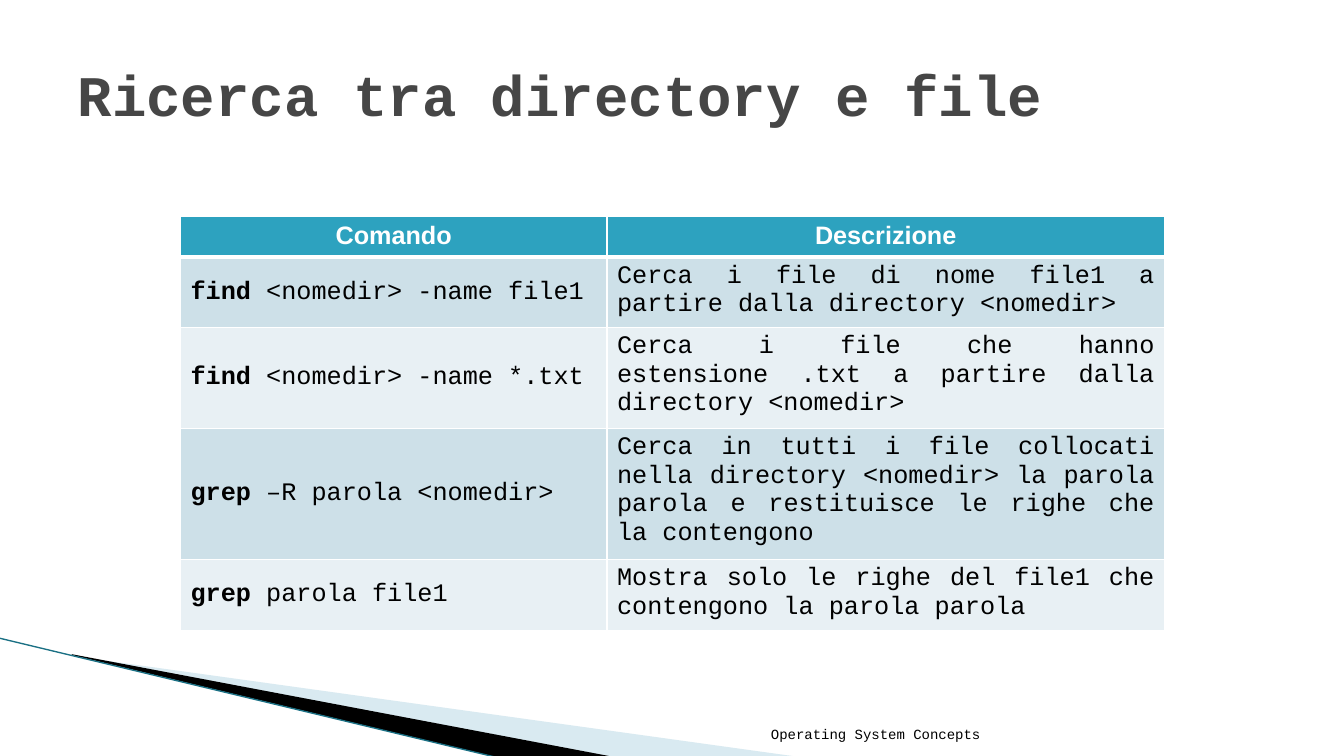
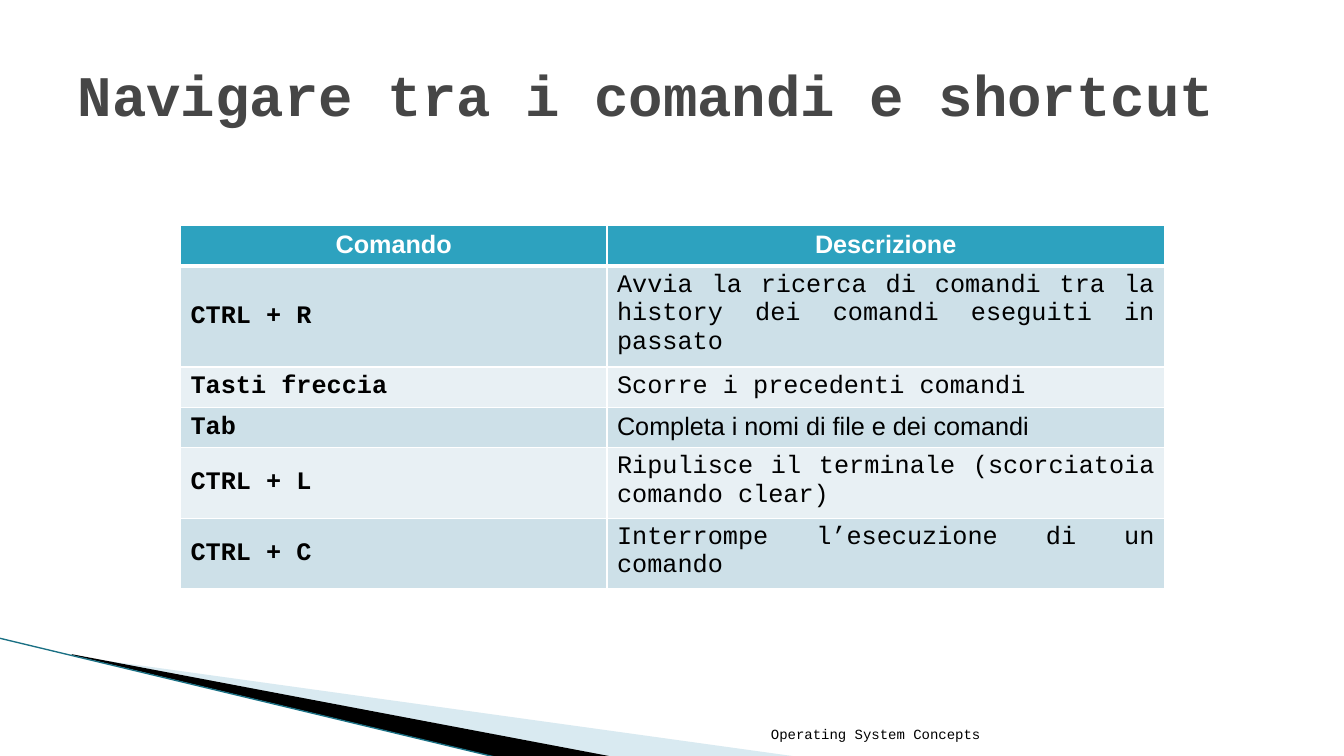
from dataclasses import dataclass

from lxml.etree import SubElement
from pptx import Presentation
from pptx.dml.color import RGBColor
from pptx.enum.shapes import MSO_CONNECTOR
from pptx.enum.text import MSO_ANCHOR as Anchor, PP_ALIGN as Align
from pptx.oxml import parse_xml
from pptx.oxml.ns import nsdecls, qn
from pptx.slide import Slide, SlideLayout
from pptx.table import Table, _Cell as Cell
from pptx.text.text import TextFrame
from pptx.util import Inches, Pt

WHITE = RGBColor(0xFF, 0xFF, 0xFF)
BLACK = RGBColor(0x00, 0x00, 0x00)
TITLE_GREY = RGBColor(0x46, 0x46, 0x46)
HEADER_TEAL = RGBColor(0x2D, 0xA2, 0xBF)
ROW_COLORS = (RGBColor(0xCD, 0xE0, 0xE8), RGBColor(0xE8, 0xF0, 0xF4))
BAND_BLUE = RGBColor(0xA0, 0xCB, 0xDC)
EDGE_TEAL = RGBColor(0x1A, 0x70, 0x84)

MONO = "Courier New"
SANS = "Arial"

HEADINGS = ("Comando", "Descrizione")
COLUMN_WIDTHS = (4.23, 5.53)
TABLE_LEFT = 1.79
HEADER_HEIGHT = 0.4
LINE_HEIGHT = 0.28
ROW_PADDING = 0.11


@dataclass(frozen=True)
class Band:
    points: tuple[tuple[float, float], ...]
    color: RGBColor
    opacity: int = 100


@dataclass(frozen=True)
class CommandRow:
    command: str
    description: str
    lines: int = 1
    arguments: str = ""
    description_font: str = MONO

    @property
    def height(self) -> float:
        return ROW_PADDING + LINE_HEIGHT * self.lines


@dataclass(frozen=True)
class CommandSlide:
    title: str
    table_top: float
    rows: tuple[CommandRow, ...]


BANDS = (
    Band(((0.73, 6.51), (7.93, 7.51), (6.08, 7.51), (0.73, 6.5)), BAND_BLUE, 40),
    Band(((0.71, 6.49), (6.09, 7.51), (4.96, 7.52), (0.72, 6.5)), BLACK),
)

SLIDES = (
    CommandSlide("Ricerca tra directory e file", 2.15, (
        CommandRow("find", "Cerca i file di nome file1 a partire dalla directory <nomedir>",
                   lines=2, arguments=" <nomedir> -name file1"),
        CommandRow("find", "Cerca i file che hanno estensione .txt a partire dalla "
                   "directory <nomedir>", lines=3, arguments=" <nomedir> -name *.txt"),
        CommandRow("grep", "Cerca in tutti i file collocati nella directory <nomedir> la "
                   "parola parola e restituisce le righe che la contengono",
                   lines=4, arguments=" –R parola <nomedir>"),
        CommandRow("grep", "Mostra solo le righe del file1 che contengono la parola parola",
                   lines=2, arguments=" parola file1"),
    )),
    CommandSlide("Navigare tra i comandi e shortcut", 2.24, (
        CommandRow("CTRL + R", "Avvia la ricerca di comandi tra la history dei comandi "
                   "eseguiti in passato", lines=3),
        CommandRow("Tasti freccia", "Scorre i precedenti comandi"),
        CommandRow("Tab", "Completa i nomi di file e dei comandi", description_font=SANS),
        CommandRow("CTRL + L", "Ripulisce il terminale (scorciatoia comando clear)", lines=2),
        CommandRow("CTRL + C", "Interrompe l’esecuzione di un comando", lines=2),
    )),
)


def write(frame: TextFrame, text: str, *, size: float = 18, font: str = MONO,
          color: RGBColor = BLACK, bold: bool = False, align: Align = Align.LEFT) -> None:
    """Append a formatted run to the first paragraph of the frame."""
    paragraph = frame.paragraphs[0]
    paragraph.alignment = align
    run = paragraph.add_run()
    run.text = text
    run.font.size = Pt(size)
    run.font.name = font
    run.font.bold = bold
    run.font.color.rgb = color


def add_band(slide: Slide, band: Band):
    start, *others = [(Inches(x), Inches(y)) for x, y in band.points]
    builder = slide.shapes.build_freeform(*start, scale=1.0)
    builder.add_line_segments(others, close=True)
    shape = builder.convert_to_shape()
    shape.shadow.inherit = False
    shape.line.fill.background()
    shape.fill.solid()
    shape.fill.fore_color.rgb = band.color
    if band.opacity < 100:
        color = shape.element.spPr.find(qn("a:solidFill"))[0]
        SubElement(color, qn("a:alpha"), val=str(band.opacity * 1000))
    return shape


def add_edge(slide: Slide):
    edge = slide.shapes.add_connector(MSO_CONNECTOR.STRAIGHT, Inches(-0.01), Inches(6.33),
                                      Inches(4.95), Inches(7.52))
    edge.line.color.rgb = EDGE_TEAL
    edge.line.width = Pt(0.95)
    SubElement(edge.element.spPr, qn("a:effectLst"))
    return edge


def prepare_layout(layout: SlideLayout) -> None:
    """Keep only the title of the layout and set its place."""
    for placeholder in list(layout.placeholders):
        if placeholder.placeholder_format.idx:
            layout.shapes.element.remove(placeholder.element)
    title = layout.placeholders[0]
    title.left, title.top = Inches(0.67), Inches(0.3)
    title.width, title.height = Inches(12), Inches(1.25)


def move_bands_to_layout(slide: Slide) -> None:
    """Draw the corner decoration once and hand it to the slide's layout."""
    decoration = [*(add_band(slide, band) for band in BANDS), add_edge(slide)]
    for position, shape in enumerate(decoration, start=2):
        slide.slide_layout.shapes.element.insert(position, shape.element)


def add_footer(slide: Slide) -> None:
    footer = slide.shapes.add_textbox(Inches(6.39), Inches(7.01), Inches(3.43), Inches(0.4))
    footer.text_frame.word_wrap = True
    footer.text_frame.vertical_anchor = Anchor.BOTTOM
    write(footer.text_frame, "Operating System Concepts", size=10, align=Align.RIGHT)


def style_cell(cell: Cell, fill: RGBColor, *, top: float = 1, bottom: float = 1) -> None:
    cell.fill.solid()
    cell.fill.fore_color.rgb = fill
    borders = {"lnL": 1, "lnR": 1, "lnT": top, "lnB": bottom}
    properties = cell._tc.get_or_add_tcPr()
    for position, (side, width) in enumerate(borders.items()):
        properties.insert(position, parse_xml(
            f'<a:{side} {nsdecls("a")} w="{Pt(width)}"><a:solidFill>'
            f'<a:srgbClr val="{WHITE}"/></a:solidFill></a:{side}>'))


def fill_header(table: Table) -> None:
    for column, heading in enumerate(HEADINGS):
        cell = table.cell(0, column)
        style_cell(cell, HEADER_TEAL, bottom=3)
        write(cell.text_frame, heading, font=SANS, color=WHITE, bold=True, align=Align.CENTER)


def fill_row(table: Table, number: int, row: CommandRow) -> None:
    command, description = table.cell(number, 0), table.cell(number, 1)
    for cell in (command, description):
        style_cell(cell, ROW_COLORS[(number - 1) % 2], top=3 if number == 1 else 1)
    command.vertical_anchor = Anchor.MIDDLE
    write(command.text_frame, row.command, bold=True)
    if row.arguments:
        write(command.text_frame, row.arguments)
    write(description.text_frame, row.description, font=row.description_font,
          align=Align.JUSTIFY)


def add_command_table(slide: Slide, content: CommandSlide) -> None:
    heights = [HEADER_HEIGHT, *(row.height for row in content.rows)]
    table = slide.shapes.add_table(
        len(heights), len(HEADINGS), Inches(TABLE_LEFT), Inches(content.table_top),
        Inches(sum(COLUMN_WIDTHS)), Inches(sum(heights))).table
    table.horz_banding = False
    for column, width in zip(table.columns, COLUMN_WIDTHS):
        column.width = Inches(width)
    for table_row, height in zip(table.rows, heights):
        table_row.height = Inches(height)
    fill_header(table)
    for number, row in enumerate(content.rows, start=1):
        fill_row(table, number, row)


def main() -> None:
    presentation = Presentation()
    presentation.slide_width = Inches(13.33)
    presentation.slide_height = Inches(7.5)
    layout = presentation.slide_layouts.get_by_name("Title Only")
    prepare_layout(layout)
    for number, content in enumerate(SLIDES):
        slide = presentation.slides.add_slide(layout)
        if number == 0:
            move_bands_to_layout(slide)
        add_footer(slide)
        title_frame = slide.shapes.title.text_frame
        title_frame.vertical_anchor = Anchor.MIDDLE
        write(title_frame, content.title, size=41, color=TITLE_GREY, bold=True)
        add_command_table(slide, content)
    presentation.save("out.pptx")


if __name__ == "__main__":
    main()
